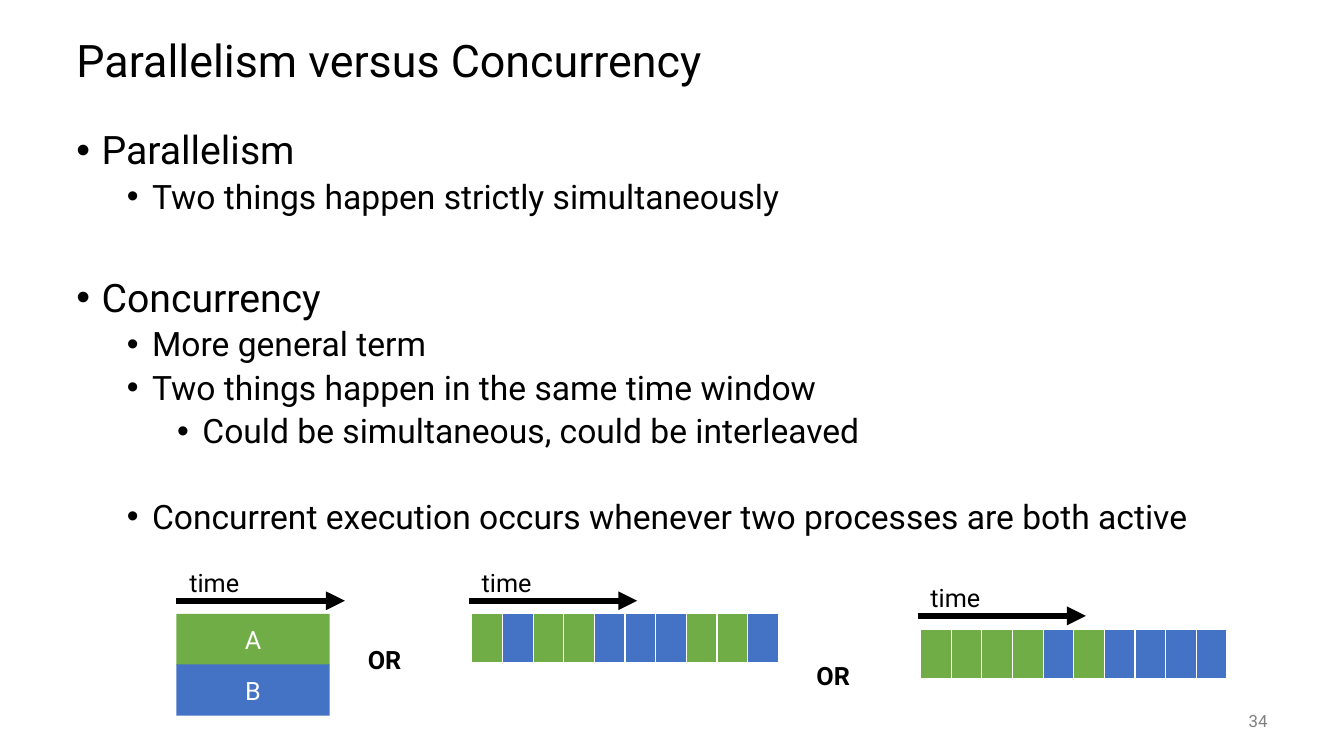
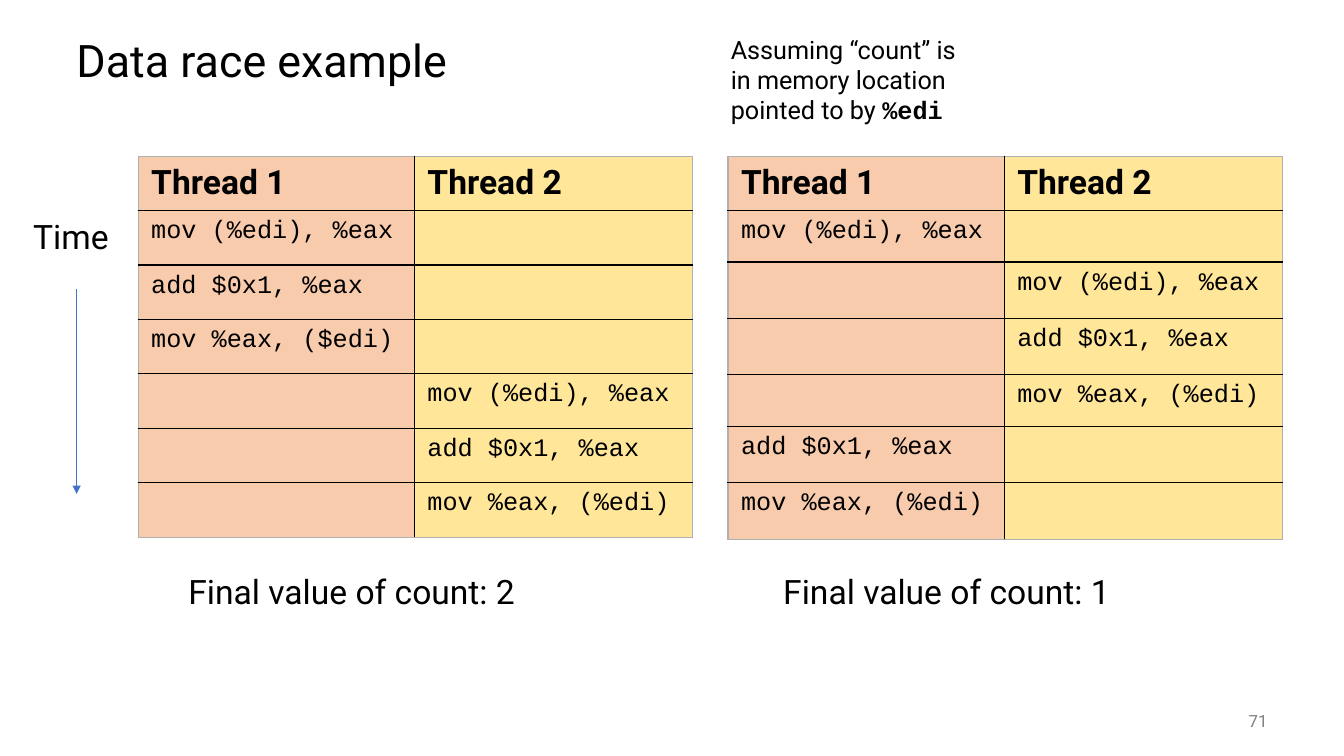
from dataclasses import dataclass

from lxml.etree import SubElement
from pptx import Presentation
from pptx.dml.color import RGBColor
from pptx.enum.shapes import MSO_CONNECTOR, MSO_SHAPE
from pptx.enum.text import MSO_ANCHOR, PP_ALIGN
from pptx.oxml import parse_xml
from pptx.oxml.ns import nsdecls, qn
from pptx.util import Inches, Pt

SANS = "Roboto"
MONO = "Courier New"
BLACK = "000000"
WHITE = "FFFFFF"
GRAY = "808080"
EDGE = "B0B0B0"
BLUE = "4472C4"
GREEN = "70AD47"
PEACH = "F8CBAD"
YELLOW = "FFE699"
PROCESS_COLORS = {"A": GREEN, "B": BLUE}
THREAD_COLORS = (PEACH, YELLOW)


@dataclass(frozen=True)
class Area:
    left: float
    top: float
    width: float
    height: float

    def lengths(self):
        return tuple(Inches(n) for n in (self.left, self.top, self.width, self.height))


@dataclass(frozen=True)
class Style:
    size: float = 18
    color: str = BLACK
    font: str = SANS
    bold: bool = False


@dataclass(frozen=True)
class Bullet:
    text: str
    level: int = 0
    before: float = 5


@dataclass(frozen=True)
class Schedule:
    left: float
    top: float
    slots: str


@dataclass(frozen=True)
class Race:
    left: float
    row_heights: tuple[float, ...]
    steps: tuple[tuple[int, str], ...]
    result: str
    result_left: float


TITLE = Style(32)
LARGE = Style(24)
NUMBER = Style(12, GRAY)
HEADER = Style(24, bold=True)
CODE = Style(font=MONO)
STRONG = Style(bold=True)

BULLETS = (
    Bullet("Parallelism", before=0),
    Bullet("Two things happen strictly simultaneously", 1),
    Bullet("Concurrency", before=44.3),
    Bullet("More general term", 1),
    Bullet("Two things happen in the same time window", 1),
    Bullet("Could be simultaneous, could be interleaved", 2),
    Bullet("Concurrent execution occurs whenever two processes are both active", 1, 35.3),
)

SCHEDULES = (
    Schedule(4.68, 6.09, "ABAABBBAAB"),
    Schedule(9.13, 6.24, "AAAABABBBB"),
)

RACES = (
    Race(
        1.37,
        (0.54,) * 7,
        (
            (0, "mov (%edi), %eax"),
            (0, "add $0x1, %eax"),
            (0, "mov %eax, ($edi)"),
            (1, "mov (%edi), %eax"),
            (1, "add $0x1, %eax"),
            (1, "mov %eax, (%edi)"),
        ),
        "Final value of count: 2",
        1.77,
    ),
    Race(
        7.22,
        (0.51, 0.51, 0.56, 0.56, 0.51, 0.56, 0.56),
        (
            (0, "mov (%edi), %eax"),
            (1, "mov (%edi), %eax"),
            (1, "add $0x1, %eax"),
            (1, "mov %eax, (%edi)"),
            (0, "add $0x1, %eax"),
            (0, "mov %eax, (%edi)"),
        ),
        "Final value of count: 1",
        7.67,
    ),
)


def rgb(color: str) -> RGBColor:
    return RGBColor.from_string(color)


def format_run(span, style: Style) -> None:
    span.font.name = style.font
    span.font.size = Pt(style.size)
    span.font.bold = style.bold
    span.font.color.rgb = rgb(style.color)


def write(frame, text: str, style: Style, align=PP_ALIGN.LEFT):
    frame.text = text
    para = frame.paragraphs[0]
    para.alignment = align
    for span in para.runs:
        format_run(span, style)
    return para


def add_text(page, area: Area, text: str, style: Style = Style(),
             align=PP_ALIGN.LEFT, anchor=MSO_ANCHOR.TOP):
    frame = page.shapes.add_textbox(*area.lengths()).text_frame
    frame.word_wrap = True
    frame.vertical_anchor = anchor
    return write(frame, text, style, align)


def add_page(deck, title: str, number: str):
    page = deck.slides.add_slide(deck.slide_layouts[6])
    heading = add_text(page, Area(0.66, 0.25, 12, 0.75), title, TITLE, anchor=MSO_ANCHOR.MIDDLE)
    heading.line_spacing = 0.9
    add_text(page, Area(11.67, 6.95, 1, 0.4), number, NUMBER, PP_ALIGN.RIGHT, MSO_ANCHOR.MIDDLE)
    return page


def add_bullets(page, area: Area, bullets: tuple[Bullet, ...]) -> None:
    frame = page.shapes.add_textbox(*area.lengths()).text_frame
    frame.word_wrap = True
    for index, bullet in enumerate(bullets):
        para = frame.add_paragraph() if index else frame.paragraphs[0]
        para.text = bullet.text
        para.level = bullet.level
        para.line_spacing = 0.9
        para.space_before = Pt(bullet.before)
        properties = para._p.get_or_add_pPr()
        properties.set("marL", str(Inches(0.25 + 0.5 * bullet.level)))
        properties.set("indent", str(Inches(-0.25)))
        SubElement(properties, qn("a:buFont"), typeface="Arial")
        SubElement(properties, qn("a:buChar"), char="•")
        format_run(para.runs[0], Style(24 if bullet.level else 28))


def add_arrow(page, start: tuple[float, float], end: tuple[float, float],
              color: str, weight: float) -> None:
    points = (Inches(n) for n in (*start, *end))
    arrow = page.shapes.add_connector(MSO_CONNECTOR.STRAIGHT, *points)
    arrow.line.color.rgb = rgb(color)
    arrow.line.width = Pt(weight)
    SubElement(arrow.line._get_or_add_ln(), qn("a:tailEnd"), type="triangle")
    SubElement(arrow._element.spPr, qn("a:effectLst"))


def add_time_axis(page, left: float, top: float) -> None:
    add_arrow(page, (left, top), (left + 1.67, top), BLACK, 4.5)
    add_text(page, Area(left + 0.03, top - 0.38, 0.77, 0.4), "time")


def add_process(page, area: Area, name: str) -> None:
    box = page.shapes.add_shape(MSO_SHAPE.RECTANGLE, *area.lengths())
    box.shadow.inherit = False
    box.fill.solid()
    box.fill.fore_color.rgb = rgb(PROCESS_COLORS[name])
    box.line.fill.background()
    box.text_frame.vertical_anchor = MSO_ANCHOR.MIDDLE
    write(box.text_frame, name, Style(color=WHITE), PP_ALIGN.CENTER)


def add_grid(page, area: Area, rows: int, columns: int):
    table = page.shapes.add_table(rows, columns, *area.lengths()).table
    table.first_row = False
    table.horz_banding = False
    return table


def paint_cell(cell, fill: str, borders: dict[str, tuple[str, float]]) -> None:
    cell.fill.solid()
    cell.fill.fore_color.rgb = rgb(fill)
    properties = cell._tc.get_or_add_tcPr()
    for index, side in enumerate("LRTB"):
        color, weight = borders[side]
        properties.insert(index, parse_xml(
            f'<a:ln{side} {nsdecls("a")} w="{Pt(weight)}"><a:solidFill>'
            f'<a:srgbClr val="{color}"/></a:solidFill></a:ln{side}>'))


def add_schedule(page, schedule: Schedule) -> None:
    add_time_axis(page, schedule.left - 0.03, schedule.top - 0.13)
    area = Area(schedule.left, schedule.top, 3.04, 0.5)
    table = add_grid(page, area, 1, len(schedule.slots))
    borders = {side: (WHITE, 3 if side == "B" else 1) for side in "LRTB"}
    for column, name in enumerate(schedule.slots):
        paint_cell(table.cell(0, column), PROCESS_COLORS[name], borders)


def add_race(page, race: Race) -> None:
    area = Area(race.left, 1.55, 5.5, sum(race.row_heights))
    last_row = len(race.steps)
    table = add_grid(page, area, last_row + 1, 2)
    for column, width in zip(table.columns, (2.74, 2.76)):
        column.width = Inches(width)
    for row, height in enumerate(race.row_heights):
        table.rows[row].height = Inches(height)
        for column, fill in enumerate(THREAD_COLORS):
            cell = table.cell(row, column)
            outer = {"L": column == 0, "R": column == 1, "T": row == 0, "B": row == last_row}
            paint_cell(cell, fill, {
                side: (EDGE, 1) if edge else (BLACK, 1) for side, edge in outer.items()})
            cell.margin_left = cell.margin_right = Inches(0.13)
            cell.margin_top = cell.margin_bottom = Inches(0.07)
            if row == 0:
                write(cell.text_frame, f"Thread {column + 1}", HEADER)
            elif race.steps[row - 1][0] == column:
                write(cell.text_frame, race.steps[row - 1][1], CODE)
    add_text(page, Area(race.result_left, 5.61, 4.6, 0.5), race.result, LARGE)


def add_concurrency_page(deck) -> None:
    page = add_page(deck, "Parallelism versus Concurrency", "34")
    add_bullets(page, Area(0.66, 1.25, 12, 5.5), BULLETS)
    for index, name in enumerate(PROCESS_COLORS):
        add_process(page, Area(1.75, 6.09 + 0.5 * index, 1.52, 0.51), name)
    add_time_axis(page, 1.75, 5.96)
    for left, top in ((3.55, 6.34), (8, 6.5)):
        add_text(page, Area(left, top, 0.96, 0.4), "OR", STRONG)
    for schedule in SCHEDULES:
        add_schedule(page, schedule)


def add_data_race_page(deck) -> None:
    page = add_page(deck, "Data race example", "71")
    add_text(page, Area(0.23, 2.09, 1.09, 0.5), "Time", LARGE)
    add_arrow(page, (0.76, 2.87), (0.76, 4.9), BLUE, 1)
    for race in RACES:
        add_race(page, race)
    note = add_text(page, Area(7.15, 0.29, 2.44, 1.01),
                    "Assuming “count” is in memory location pointed to by ")
    register = note.add_run()
    register.text = "%edi"
    format_run(register, Style(font=MONO, bold=True))


def main() -> None:
    deck = Presentation()
    deck.slide_width = Inches(13.33)
    deck.slide_height = Inches(7.5)
    add_concurrency_page(deck)
    add_data_race_page(deck)
    deck.save("out.pptx")


if __name__ == "__main__":
    main()
